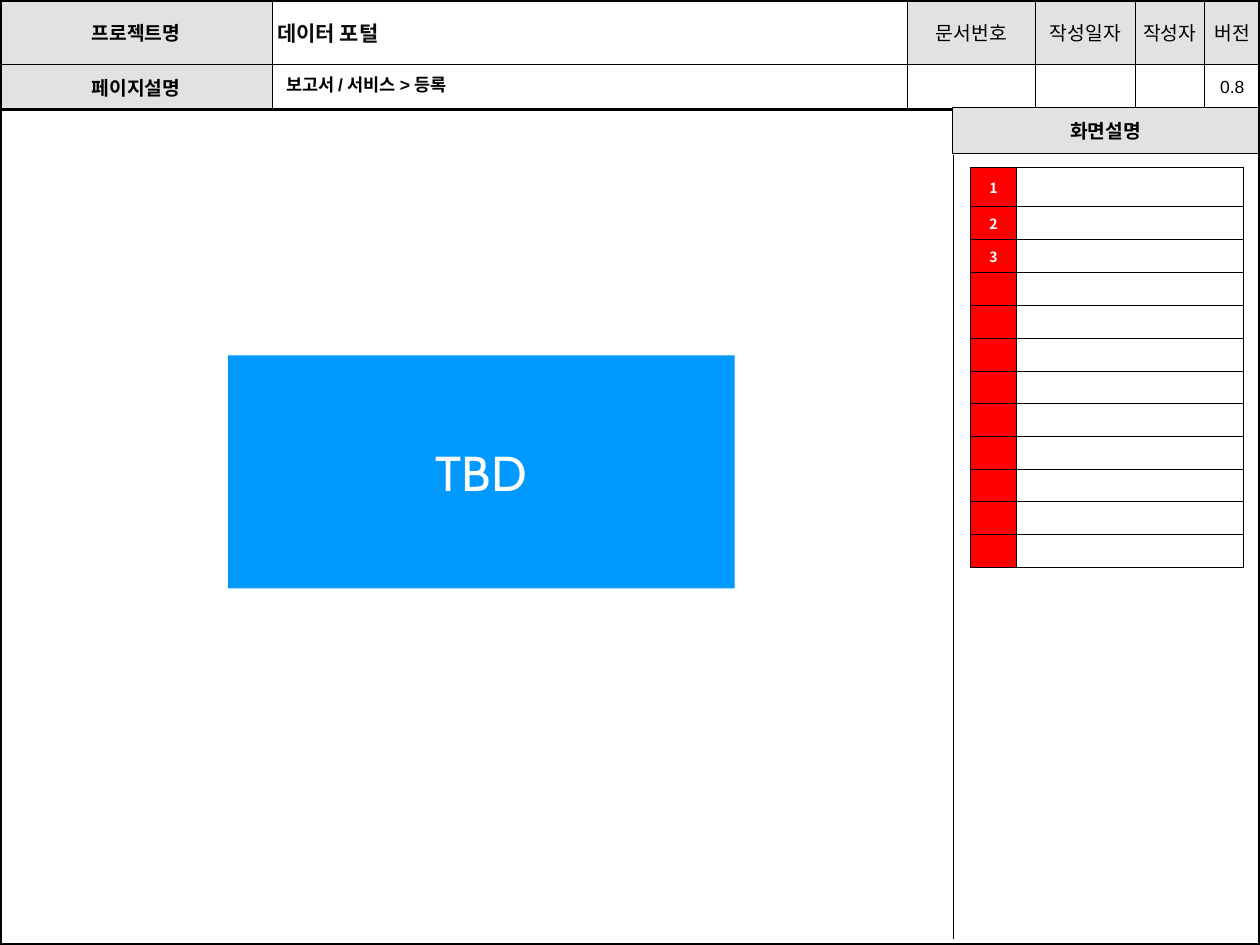
from lxml import etree
from pptx import Presentation
from pptx.dml.color import RGBColor
from pptx.enum.shapes import MSO_SHAPE
from pptx.enum.text import MSO_ANCHOR, PP_ALIGN
from pptx.oxml.ns import qn
from pptx.util import Inches, Pt

BLACK = RGBColor(0x00, 0x00, 0x00)
INK = RGBColor(0x0D, 0x0D, 0x0D)
WHITE = RGBColor(0xFF, 0xFF, 0xFF)
GREY = RGBColor(0xE2, 0xE2, 0xE2)
RED = RGBColor(0xFF, 0x00, 0x00)
BLUE = RGBColor(0x00, 0x99, 0xFF)

LATIN, KOREAN, ACCENT = "Arial", "Noto Sans CJK KR", "Cabin"
LEFT, CENTER = PP_ALIGN.LEFT, PP_ALIGN.CENTER
MIDDLE = MSO_ANCHOR.MIDDLE
RECTANGLE = MSO_SHAPE.RECTANGLE
NO_STYLE = "{2D5ABB26-0587-4C30-8999-92F81FD0307C}"

WIDTH, HEIGHT = 10, 7.5
HEADER_COLUMNS = [2.16, 5.04, 1.02, 0.79, 0.55, 0.44]
HEADER_ROWS = [0.51, 0.33]
HEADER_MARGINS = (0.04, 0.07)
NOTE_COLUMNS = [0.37, 1.8]
NOTE_COUNT, NUMBERED = 12, 3
NOTE_ROWS = [0.31] + [0.26] * (NOTE_COUNT - 1)


def write(frame, text, size, font, color, bold=False, align=CENTER):
    para = frame.paragraphs[0]
    para.alignment = align
    span = para.add_run()
    span.text = text
    span.font.size = Pt(size)
    span.font.name = font
    span.font.bold = bold
    span.font.color.rgb = color
    properties = span._r.get_or_add_rPr()
    east_asian = etree.SubElement(properties, qn("a:ea"))
    east_asian.set("typeface", KOREAN)


def set_margins(target, across, down):
    target.margin_left = target.margin_right = Inches(across)
    target.margin_top = target.margin_bottom = Inches(down)


def add_grid(page, left, top, columns, rows):
    """Add a table without a style, whose empty cells stay as low as small text."""
    frame = page.shapes.add_table(len(rows), len(columns), Inches(left), Inches(top),
                                  Inches(sum(columns)), Inches(sum(rows)))
    table = frame.table
    table.first_row = table.horz_banding = False
    table._tbl.tblPr.find(qn("a:tableStyleId")).text = NO_STYLE
    for column, width in zip(table.columns, columns):
        column.width = Inches(width)
    for row, height in zip(table.rows, rows):
        row.height = Inches(height)
    for cell in table.iter_cells():
        cell.vertical_anchor = MIDDLE
        end = etree.SubElement(cell.text_frame.paragraphs[0]._p, qn("a:endParaRPr"))
        end.set("sz", "800")
    return table


def format_cell(cell, fill=None, **borders):
    """Draw borders (left, right, top, bottom in points), then the fill."""
    properties = cell._tc.get_or_add_tcPr()
    for side, tag in (("left", "a:lnL"), ("right", "a:lnR"),
                      ("top", "a:lnT"), ("bottom", "a:lnB")):
        if side in borders:
            line = etree.SubElement(properties, qn(tag), w=str(Pt(borders[side])))
            solid = etree.SubElement(line, qn("a:solidFill"))
            etree.SubElement(solid, qn("a:srgbClr"), val=str(BLACK))
    if fill is None:
        cell.fill.background()
    else:
        cell.fill.solid()
        cell.fill.fore_color.rgb = fill


def add_header(page):
    table = add_grid(page, 0, 0, HEADER_COLUMNS, HEADER_ROWS)
    labels = {(0, 0): "프로젝트명", (1, 0): "페이지설명", (0, 2): "문서번호",
              (0, 3): "작성일자", (0, 4): "작성자", (0, 5): "버전"}
    for row in range(len(HEADER_ROWS)):
        for column in range(len(HEADER_COLUMNS)):
            cell = table.cell(row, column)
            set_margins(cell, *HEADER_MARGINS)
            format_cell(cell, GREY if (row, column) in labels else WHITE,
                        left=0.75, right=0.75, top=0.75,
                        bottom=2.25 if row else 0.75)
    for (row, column), label in labels.items():
        write(table.cell(row, column).text_frame, label, 11, LATIN, BLACK,
              bold=column == 0)
    write(table.cell(0, 1).text_frame, "데이터 포털", 12, KOREAN, INK, True, LEFT)
    write(table.cell(1, 5).text_frame, "0.8", 10, LATIN, BLACK)


def add_side_panel(page):
    body = add_grid(page, 7.57, 1.23, [2.43], [6.22]).cell(0, 0)
    format_cell(body, left=0.75)
    heading = add_grid(page, 7.56, 0.85, [2.43], [0.37]).cell(0, 0)
    set_margins(heading, *HEADER_MARGINS)
    format_cell(heading, GREY, left=0.75, right=0.75, top=0.75, bottom=0.75)
    write(heading.text_frame, "화면설명", 11, LATIN, BLACK, True)


def add_notes_table(page):
    table = add_grid(page, 7.7, 1.33, NOTE_COLUMNS, NOTE_ROWS)
    for row in range(NOTE_COUNT):
        for column, fill in enumerate((RED, None)):
            format_cell(table.cell(row, column), fill,
                        left=0.5, right=0.5, top=0.5, bottom=0.5)
        if row < NUMBERED:
            write(table.cell(row, 0).text_frame, str(row + 1), 8, KOREAN, WHITE, True)


def add_box(page, left, top, width, height):
    box = page.shapes.add_shape(RECTANGLE, Inches(left), Inches(top),
                                Inches(width), Inches(height))
    box.shadow.inherit = False
    return box


def add_page_frame(page):
    box = add_box(page, 0, 0, WIDTH, HEIGHT)
    box.fill.background()
    box.line.color.rgb = BLACK
    box.line.width = Pt(2.25)


def add_placeholder_block(page):
    box = add_box(page, 1.81, 2.82, 4.02, 1.85)
    box.fill.solid()
    box.fill.fore_color.rgb = BLUE
    box.line.fill.background()
    box.text_frame.vertical_anchor = MIDDLE
    set_margins(box.text_frame, 0, 0)
    write(box.text_frame, "TBD", 28, ACCENT, WHITE)


def place_title(page):
    title = page.shapes.title
    title.left, title.top = Inches(2.17), Inches(0.55)
    title.width, title.height = Inches(4.69), Inches(0.24)
    frame = title.text_frame
    frame.vertical_anchor = MIDDLE
    set_margins(frame, 0.1, 0.1)
    write(frame, "보고서 / 서비스 > 등록", 10, LATIN, BLACK, True, LEFT)
    page.shapes._spTree.append(title._element)


def main():
    deck = Presentation()
    deck.slide_width, deck.slide_height = Inches(WIDTH), Inches(HEIGHT)
    page = deck.slides.add_slide(deck.slide_layouts[0])
    subtitle = page.placeholders[1]._element
    subtitle.getparent().remove(subtitle)
    add_header(page)
    add_page_frame(page)
    add_side_panel(page)
    place_title(page)
    add_notes_table(page)
    add_placeholder_block(page)
    deck.save("out.pptx")


if __name__ == "__main__":
    main()
